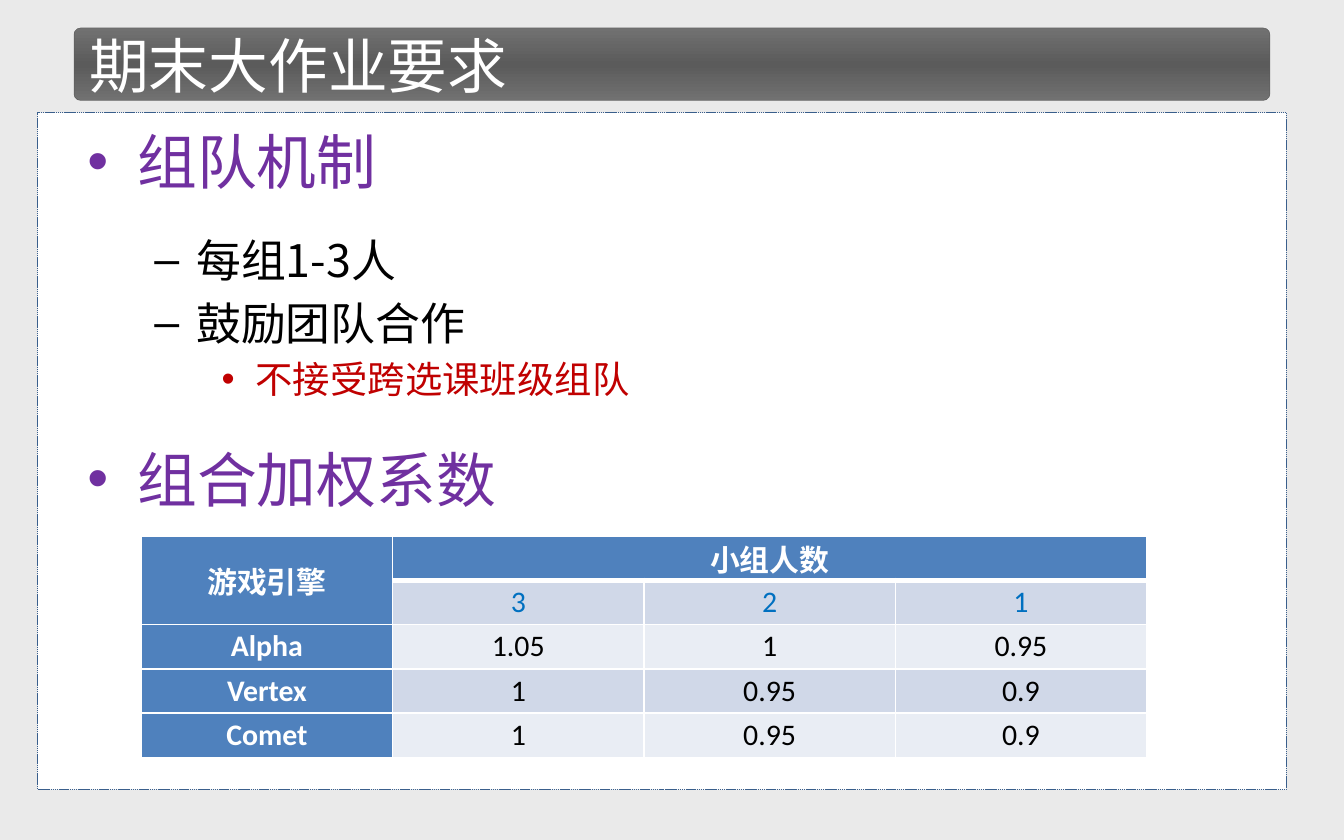
from lxml import etree
from pptx import Presentation
from pptx.dml.color import RGBColor
from pptx.enum.dml import MSO_LINE
from pptx.enum.shapes import MSO_SHAPE
from pptx.enum.text import MSO_ANCHOR, PP_ALIGN
from pptx.oxml.ns import qn
from pptx.util import Cm, Pt

RECT, ROUNDED = MSO_SHAPE.RECTANGLE, MSO_SHAPE.ROUNDED_RECTANGLE
DASH = MSO_LINE.SQUARE_DOT
LEFT, CENTER = PP_ALIGN.LEFT, PP_ALIGN.CENTER
TOP, MIDDLE = MSO_ANCHOR.TOP, MSO_ANCHOR.MIDDLE

WHITE = RGBColor(0xFF, 0xFF, 0xFF)
BLACK = RGBColor(0, 0, 0)
BACKGROUND = RGBColor(0xEA, 0xEA, 0xEA)
FRAME = RGBColor(0x3A, 0x5F, 0x8C)
GREY = RGBColor(0x71, 0x71, 0x71)
DARK_GREY = RGBColor(0x5B, 0x5B, 0x5B)
PURPLE = RGBColor(0x70, 0x30, 0xA0)
RED = RGBColor(0xC0, 0, 0)
HEADER = RGBColor(0x4F, 0x81, 0xBD)
BAND_DARK = RGBColor(0xD0, 0xD8, 0xE8)
BAND_LIGHT = RGBColor(0xE9, 0xED, 0xF4)
BLUE = RGBColor(0, 0x70, 0xC0)

CJK = "Noto Sans CJK SC"
LATIN = "Calibri"

# Outline levels: bullet, size, colour, text indent (cm), hanging indent (cm)
LEVELS = [
    ("•", 32, PURPLE, 0.95, 0.95),
    ("–", 24, BLACK, 2.06, 0.79),
    ("•", 20, RED, 3.18, 0.64),
]

# Level, text, space before (pt)
OUTLINE = [
    (0, "组队机制", 0),
    (1, "每组1-3人", 19.4),
    (1, "鼓励团队合作", 4.8),
    (2, "不接受跨选课班级组队", 4),
    (0, "组合加权系数", 22),
]

WEIGHTS = [
    ["游戏引擎", "小组人数", "", ""],
    ["", "3", "2", "1"],
    ["Alpha", "1.05", "1", "0.95"],
    ["Vertex", "1", "0.95", "0.9"],
    ["Comet", "1", "0.95", "0.9"],
]


class Deck:
    def __init__(self, width, height):
        self.prs = Presentation()
        self.prs.slide_width, self.prs.slide_height = Cm(width), Cm(height)
        self.s = self.prs.slides.add_slide(self.prs.slide_layouts[6])
        fill = self.s.background.fill
        fill.solid()
        fill.fore_color.rgb = BACKGROUND

    def style(self, p, size, color, font=CJK, bold=False, align=LEFT):
        p.alignment = align
        for r in p.runs:
            r.font.size, r.font.bold, r.font.name = Pt(size), bold, font
            r.font.color.rgb = color
            etree.SubElement(r.font._element, qn("a:ea"), typeface=CJK)

    def box(self, kind, left, top, width, height, line):
        sp = self.s.shapes.add_shape(kind, Cm(left), Cm(top), Cm(width), Cm(height))
        sp.shadow.inherit = False
        sp.fill.solid()
        sp.fill.fore_color.rgb = WHITE
        sp.line.color.rgb = line
        sp.line.width = Pt(0.25)
        return sp

    def title_bar(self, text, left, top, width, height):
        sp = self.box(ROUNDED, left, top, width, height, DARK_GREY)
        sp.adjustments[0] = 0.09
        sp.fill.gradient()
        sp.fill.gradient_angle = 90
        stops = sp._element.spPr.find(".//" + qn("a:gsLst"))
        stops.clear()
        for pos, color in ((0, GREY), (50, DARK_GREY), (100, GREY)):
            stop = etree.SubElement(stops, qn("a:gs"), pos=str(pos * 1000))
            etree.SubElement(stop, qn("a:srgbClr"), val=str(color))
        tf = sp.text_frame
        tf.text = text
        tf.vertical_anchor = MIDDLE
        self.style(tf.paragraphs[0], 32, WHITE)

    def outline(self, items, left, top, width, height):
        tf = self.s.shapes.add_textbox(Cm(left), Cm(top), Cm(width), Cm(height)).text_frame
        tf.word_wrap = True
        tf.vertical_anchor = TOP
        tf.margin_top = Cm(0.23)
        for i, (level, text, before) in enumerate(items):
            bullet, size, color, indent, hanging = LEVELS[level]
            p = tf.add_paragraph() if i else tf.paragraphs[0]
            p.text = text
            p.level = level
            p.space_before = Pt(before)
            p.line_spacing = Pt(1.2 * size)
            self.style(p, size, color)
            pPr = p._p.get_or_add_pPr()
            pPr.set("marL", str(Cm(indent)))
            pPr.set("indent", str(-Cm(hanging)))
            etree.SubElement(pPr, qn("a:buFont"), typeface="Arial")
            etree.SubElement(pPr, qn("a:buChar"), char=bullet)

    def borders(self, cell, bottom):
        tcPr = cell._tc.get_or_add_tcPr()
        for side, width in (("L", 1), ("R", 1), ("T", 1), ("B", bottom)):
            ln = etree.SubElement(tcPr, qn("a:ln" + side), w=str(Pt(width)))
            fill = etree.SubElement(ln, qn("a:solidFill"))
            etree.SubElement(fill, qn("a:srgbClr"), val=str(WHITE))

    def table(self, rows, left, top, width, height):
        table = self.s.shapes.add_table(
            len(rows), len(rows[0]), Cm(left), Cm(top), Cm(width), Cm(height)).table
        for i, row in enumerate(rows):
            for j, text in enumerate(row):
                cell = table.cell(i, j)
                head = i == 0 or j == 0
                above_rule = (i == 0 and j > 0) or (i == 1 and j == 0)
                self.borders(cell, 3 if above_rule else 1)
                cell.fill.solid()
                band = BAND_DARK if i % 2 else BAND_LIGHT
                cell.fill.fore_color.rgb = HEADER if head else band
                cell.vertical_anchor = MIDDLE
                cell.margin_left = cell.margin_right = Cm(0.18)
                cell.margin_top = cell.margin_bottom = 0
                if text:
                    color = WHITE if head else BLUE if i == 1 else BLACK
                    cell.text_frame.text = text
                    self.style(cell.text_frame.paragraphs[0], 16, color, LATIN, head, CENTER)
        table.cell(0, 0).merge(table.cell(1, 0))
        table.cell(0, 1).merge(table.cell(0, 3))


def main():
    deck = Deck(25.4, 15.88)

    # Content panel
    panel = deck.box(RECT, 0.71, 2.13, 23.6, 12.8, FRAME)
    panel.line.dash_style = DASH

    # Outline and title
    deck.outline(OUTLINE, 1.4, 2.13, 23.11, 12.8)
    deck.title_bar("期末大作业要求", 1.4, 0.53, 22.6, 1.37)

    # Weights by engine and team size
    deck.table(WEIGHTS, 2.67, 10.13, 19, 4.19)

    deck.prs.save("out.pptx")


if __name__ == "__main__":
    main()
